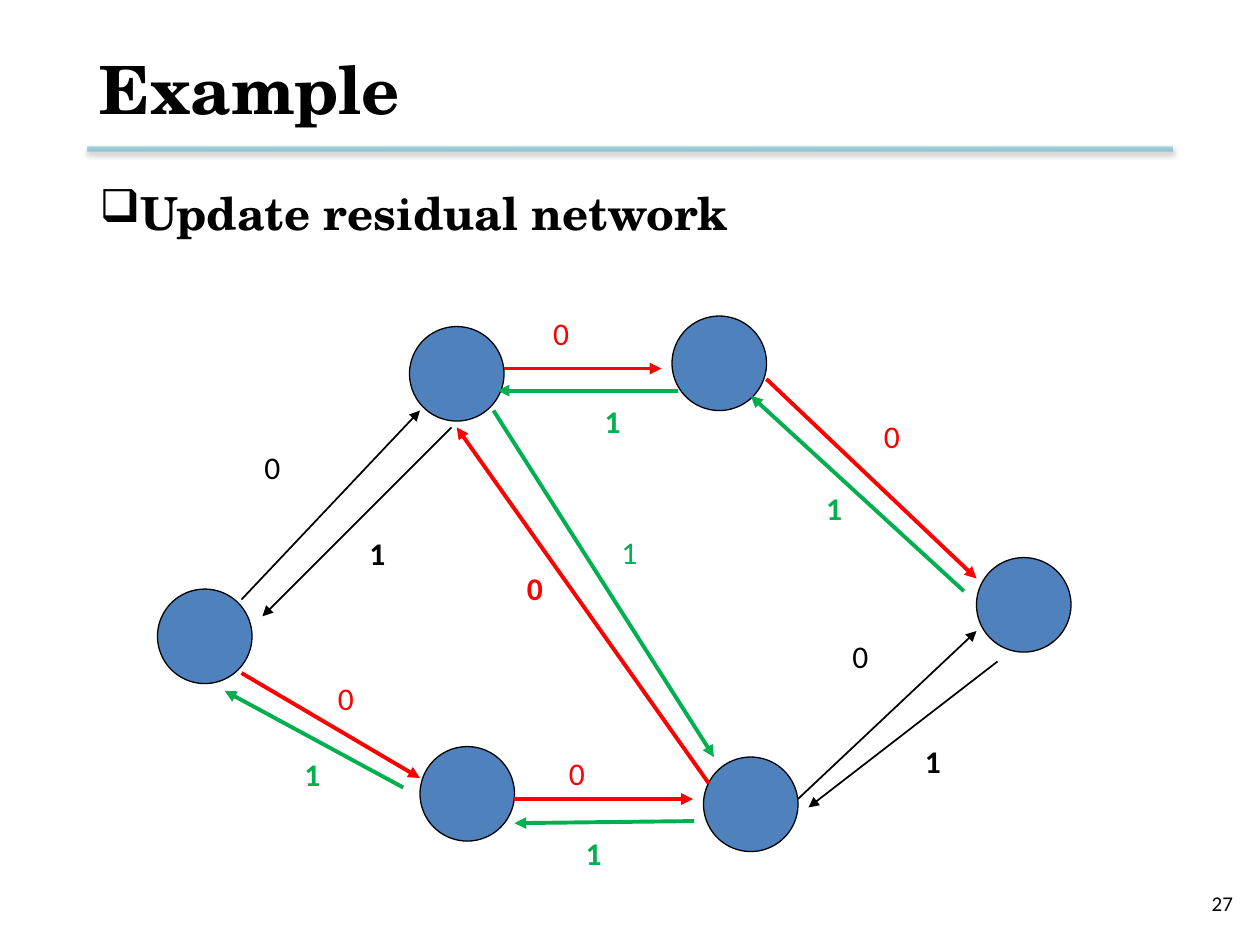
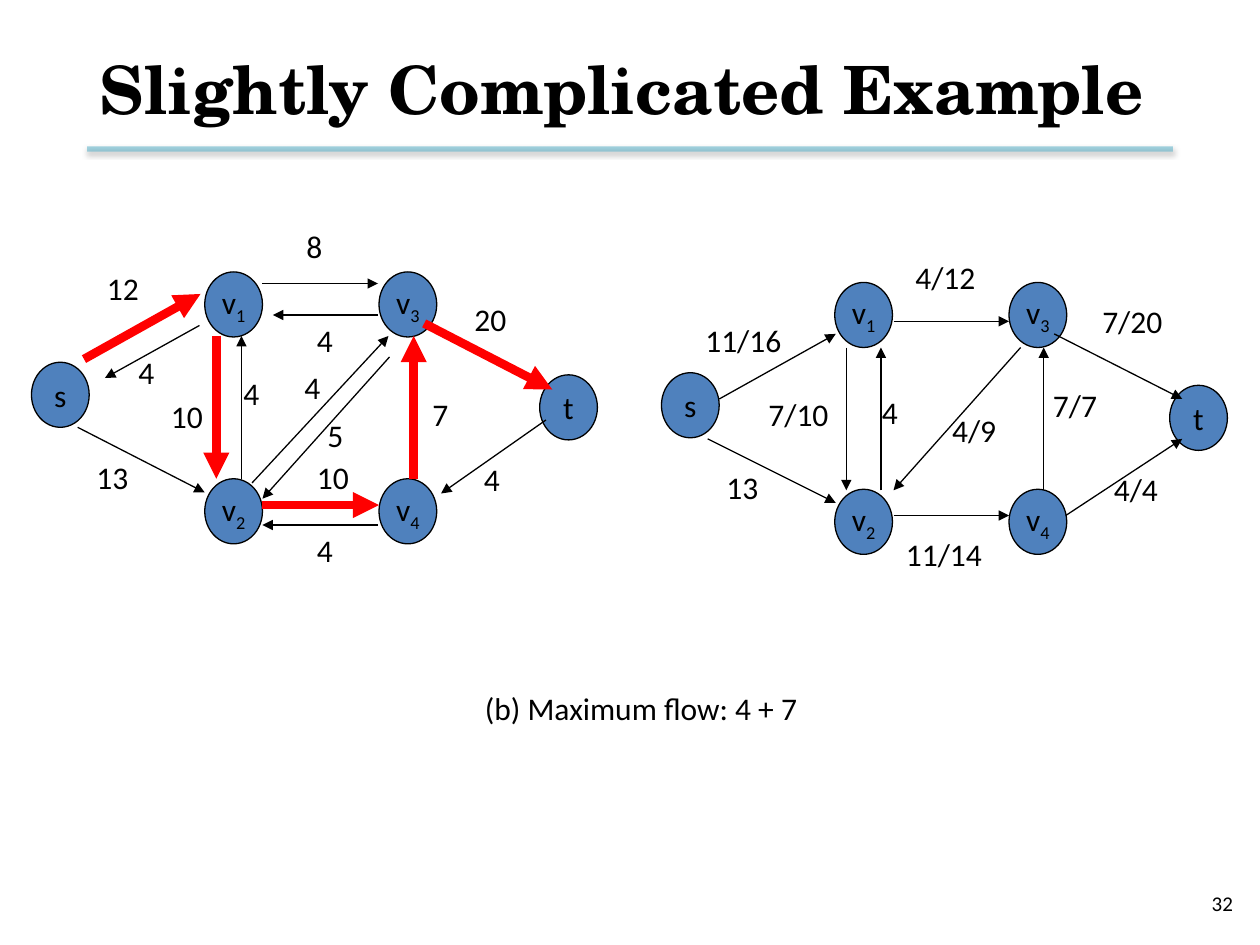
from typing import Any, NamedTuple

from lxml.etree import SubElement
from pptx import Presentation
from pptx.dml.color import RGBColor
from pptx.enum.shapes import MSO_CONNECTOR, MSO_SHAPE
from pptx.enum.text import MSO_ANCHOR, MSO_AUTO_SIZE, PP_ALIGN
from pptx.oxml.ns import qn
from pptx.util import Inches, Pt

COLORS = {
    "text": "000000",
    "node": "4F81BD",
    "rule": "4BACC6",
    "red": "FF0000",
    "green": "00B050",
}
HEADING_FONT = "TeX Gyre Schola"
BODY_FONT = "Calibri"
TITLE_FORMAT = {"name": HEADING_FONT, "size": Pt(38), "bold": True}
BULLET_FORMAT = {"name": HEADING_FONT, "size": Pt(26), "bold": True}
LABEL_FORMAT = {"name": BODY_FONT, "size": Pt(18), "bold": False}
STRONG_FORMAT = LABEL_FORMAT | {"bold": True}
NUMBER_FORMAT = {"name": BODY_FONT, "size": Pt(12), "bold": False}

# The 10 x 7.5 inch slide is a grid of 120 columns and 90 rows.
CELL = Inches(1) / 12
COLUMNS, ROWS = 120, 90
MARGIN = 8.3
CONTENT_WIDTH = COLUMNS - 2 * MARGIN
LABEL_HEIGHT = 4.8

Point = tuple[float, float]


class Box(NamedTuple):
    left: float
    top: float
    width: float
    height: float


class Node(NamedTuple):
    left: float
    top: float
    name: str = ""
    subscript: str = ""


class Edge(NamedTuple):
    start: Point
    end: Point
    label: str
    label_at: Point
    color: str = "text"
    width: float = 0.75
    label_color: str = "text"
    strong: bool = False


class Network(NamedTuple):
    node_size: Point
    nodes: list[Node]
    edges: list[Edge]
    shift: Point = (0, 0)


def residual(color: str, start: Point, end: Point, label: str,
             label_at: Point, strong: bool = False) -> Edge:
    """Edge whose label shares its colour; coloured edges are thicker."""
    width = 1 if color == "text" else 2.25
    return Edge(start, end, label, label_at, color, width, color, strong)


def augmenting(start: Point, end: Point, label: str, label_at: Point) -> Edge:
    """Edge on the augmenting path: thick and red."""
    return Edge(start, end, label, label_at, "red", 5)


UPDATED_NETWORK = Network(
    (9, 9),
    [Node(15, 56.1), Node(40, 71.1), Node(39, 31.1),
     Node(93, 53.1), Node(67, 72.1), Node(64, 30.1)],
    [
        residual("text", (23, 57.1), (40, 39.1), "0", (24, 42.1)),
        residual("red", (23, 64.1), (40, 74.1), "0", (31, 64.1)),
        residual("red", (48, 35.1), (63, 35.1), "0", (51.5, 29.3)),
        residual("red", (49, 76.1), (66, 76.1), "0", (53, 71.2)),
        residual("green", (47, 39.1), (68, 72.1), "1", (58, 50.2)),
        residual("red", (73, 36.1), (93, 55.1), "0", (83, 39.1)),
        residual("text", (76, 76.1), (93, 60.1), "0", (80, 60.1)),
        residual("text", (43, 40.7), (25, 58.7), "1", (34, 50.3), True),
        residual("red", (67.5, 74.6), (43.5, 40.7), "0", (49, 53.6), True),
        residual("text", (95, 63), (77, 76.9), "1", (86.9, 70.1), True),
        residual("green", (38.4, 75), (21.4, 65.8), "1", (27.8, 71.3), True),
        residual("green", (66.1, 78.2), (49, 78.4), "1", (54.6, 78.8), True),
        residual("green", (64.6, 37.2), (47.4, 37.2), "1", (56.4, 37.7), True),
        residual("green", (91.8, 56.3), (71.5, 37.7), "1", (77.5, 46), True),
    ],
)

FLOW_NODE_SIZE = (5.5, 6.2)
FLOW_NODES = [
    Node(3, 34.5, "s"),
    Node(19.5, 45.6, "v", "2"),
    Node(36.1, 45.6, "v", "4"),
    Node(51.4, 35.7, "t"),
    Node(36.1, 25.9, "v", "3"),
    Node(19.5, 25.9, "v", "1"),
]
RESIDUAL_NETWORK = Network(
    FLOW_NODE_SIZE,
    FLOW_NODES,
    [
        augmenting((8, 34.2), (19.1, 28), "12", (9, 25)),
        Edge((19, 31), (10, 36), "4", (12, 33)),
        Edge((25, 27), (36, 27), "8", (28, 21)),
        Edge((36, 30), (26, 30), "4", (29, 30)),
        augmenting((40.4, 30.8), (52.6, 37.1), "20", (44, 28)),
        Edge((7.4, 40.7), (19.5, 46.9), "13", (8, 43)),
        augmenting((25, 48.1), (36.1, 48.1), "10", (29, 43)),
        Edge((36, 50), (25, 50), "4", (29, 50)),
        augmenting((20.6, 32), (20.6, 45.6), "10", (15.1, 37.2)),
        Edge((23, 45.6), (23, 32), "4", (22, 35)),
        augmenting((39.4, 45.6), (39.4, 32), "7", (40, 37)),
        Edge((37.1, 34), (25, 47.5), "5", (30, 39)),
        Edge((24, 46), (37, 32), "4", (27.8, 34.5)),
        Edge((52, 40), (42, 47), "4", (44.9, 43.2)),
    ],
)
FLOW_NETWORK = Network(
    FLOW_NODE_SIZE,
    FLOW_NODES,
    [
        Edge((8.5, 37), (19.6, 30.8), "11/16", (6, 29)),
        Edge((25.1, 29.6), (36.1, 29.6), "4/12", (26, 23)),
        Edge((40.4, 30.8), (52.6, 37), "7/20", (43.8, 27.2)),
        Edge((7.4, 40.8), (19.6, 46.9), "13", (8, 43)),
        Edge((25.1, 48.1), (36.1, 48.1), "11/14", (25.1, 49.4)),
        Edge((41.5, 48.1), (52.6, 40.8), "4/4", (44.9, 43.2)),
        Edge((20.6, 32.1), (20.6, 45.7), "7/10", (12, 36)),
        Edge((23.9, 45.7), (23.9, 32.1), "4", (22.8, 35.8)),
        Edge((39.4, 45.7), (39.4, 32.1), "7/7", (39.1, 35.2)),
        Edge((37.2, 32.1), (25.1, 45.7), "4/9", (29.5, 37.6)),
    ],
    shift=(60, 1),
)


def grid(*cells: float) -> list[int]:
    return [round(cell * CELL) for cell in cells]


def rgb(color: str) -> RGBColor:
    return RGBColor.from_string(COLORS[color])


def set_values(target: Any, values: dict[str, Any]) -> None:
    for attribute, value in values.items():
        setattr(target, attribute, value)


def add_run(paragraph: Any, text: str, values: dict[str, Any], color: str = "text") -> Any:
    run = paragraph.add_run()
    run.text = text
    set_values(run.font, values)
    run.font.color.rgb = rgb(color)
    return run


def add_text(slide: Any, box: Box, text: str, values: dict[str, Any],
             color: str = "text") -> Any:
    shape = slide.shapes.add_textbox(*grid(*box))
    shape.text_frame.word_wrap = True
    add_run(shape.text_frame.paragraphs[0], text, values, color)
    return shape


def add_line(slide: Any, start: Point, end: Point, color: str, width: float) -> tuple[Any, Any]:
    """Return the line and its empty effect list."""
    line = slide.shapes.add_connector(MSO_CONNECTOR.STRAIGHT, *grid(*start, *end))
    line.line.color.rgb = rgb(color)
    line.line.width = Pt(width)
    effects = SubElement(line._element.spPr, qn("a:effectLst"))
    return line, effects


def add_title_rule(slide: Any) -> None:
    row = 14.2
    line, effects = add_line(slide, (MARGIN, row), (COLUMNS - MARGIN, row), "rule", 3)
    rule_color = line._element.spPr.find(".//" + qn("a:srgbClr"))
    SubElement(rule_color, qn("a:alpha"), val="50000")
    shadow = SubElement(effects, qn("a:outerShdw"), blurRad=str(Pt(3.1)),
                        dist=str(Pt(1.6)), dir="5400000", rotWithShape="0")
    shadow_color = SubElement(shadow, qn("a:srgbClr"), val=COLORS["text"])
    SubElement(shadow_color, qn("a:alpha"), val="38000")


def add_titled_slide(presentation: Any, title: str, number: int) -> Any:
    slide = presentation.slides.add_slide(presentation.slide_layouts[5])
    add_title_rule(slide)
    left, top, width, height = grid(MARGIN, 2, CONTENT_WIDTH, 12.7)
    placeholder = slide.shapes.title
    set_values(placeholder, {"left": left, "top": top, "width": width, "height": height})
    frame = placeholder.text_frame
    set_values(frame, {"vertical_anchor": MSO_ANCHOR.MIDDLE, "word_wrap": True,
                       "auto_size": MSO_AUTO_SIZE.NONE})
    paragraph = frame.paragraphs[0]
    paragraph.alignment = PP_ALIGN.LEFT
    add_run(paragraph, title, TITLE_FORMAT)

    footer = add_text(slide, Box(90.6, 83.6, 28, LABEL_HEIGHT), str(number), NUMBER_FORMAT)
    footer.text_frame.vertical_anchor = MSO_ANCHOR.MIDDLE
    footer.text_frame.paragraphs[0].alignment = PP_ALIGN.RIGHT
    return slide


def add_bullet(slide: Any, text: str) -> None:
    shape = add_text(slide, Box(MARGIN, 17, CONTENT_WIDTH, 61.2), text, BULLET_FORMAT)
    properties = shape.text_frame.paragraphs[0]._p.get_or_add_pPr()
    properties.set("marL", str(Inches(0.25)))
    properties.set("indent", str(Inches(-0.45)))
    SubElement(properties, qn("a:buChar"), char="❑")


def add_node(slide: Any, node: Node, size: Point, shift: Point) -> None:
    shape = slide.shapes.add_shape(
        MSO_SHAPE.OVAL, *grid(node.left + shift[0], node.top + shift[1], *size))
    shape.shadow.inherit = False
    shape.fill.solid()
    shape.fill.fore_color.rgb = rgb("node")
    shape.line.color.rgb = rgb("text")
    shape.line.width = Pt(0.75)
    if not node.name:
        return
    set_values(shape.text_frame, {"word_wrap": False, "vertical_anchor": MSO_ANCHOR.MIDDLE})
    paragraph = shape.text_frame.paragraphs[0]
    paragraph.alignment = PP_ALIGN.CENTER
    add_run(paragraph, node.name, LABEL_FORMAT)
    if node.subscript:
        run = add_run(paragraph, node.subscript, LABEL_FORMAT)
        run._r.get_or_add_rPr().set("baseline", "-25000")


def add_edge(slide: Any, edge: Edge, shift: Point) -> None:
    start, end, label_at = (
        (column + shift[0], row + shift[1])
        for column, row in (edge.start, edge.end, edge.label_at))
    line, _ = add_line(slide, start, end, edge.color, edge.width)
    SubElement(line.line._get_or_add_ln(), qn("a:tailEnd"), type="triangle")
    label_width = 2.5 + 2 * len(edge.label)
    values = STRONG_FORMAT if edge.strong else LABEL_FORMAT
    add_text(slide, Box(*label_at, label_width, LABEL_HEIGHT), edge.label,
             values, edge.label_color)


def add_network(slide: Any, network: Network) -> None:
    for node in network.nodes:
        add_node(slide, node, network.node_size, network.shift)
    for edge in network.edges:
        add_edge(slide, edge, network.shift)


def main() -> None:
    presentation = Presentation()
    presentation.slide_width, presentation.slide_height = grid(COLUMNS, ROWS)

    slide = add_titled_slide(presentation, "Example", 27)
    add_bullet(slide, "Update residual network")
    add_network(slide, UPDATED_NETWORK)

    slide = add_titled_slide(presentation, "Slightly Complicated Example", 32)
    add_network(slide, RESIDUAL_NETWORK)
    add_network(slide, FLOW_NETWORK)
    add_text(slide, Box(45, 65, 34, LABEL_HEIGHT), "(b) Maximum flow: 4 + 7", LABEL_FORMAT)

    presentation.save("out.pptx")


if __name__ == "__main__":
    main()
